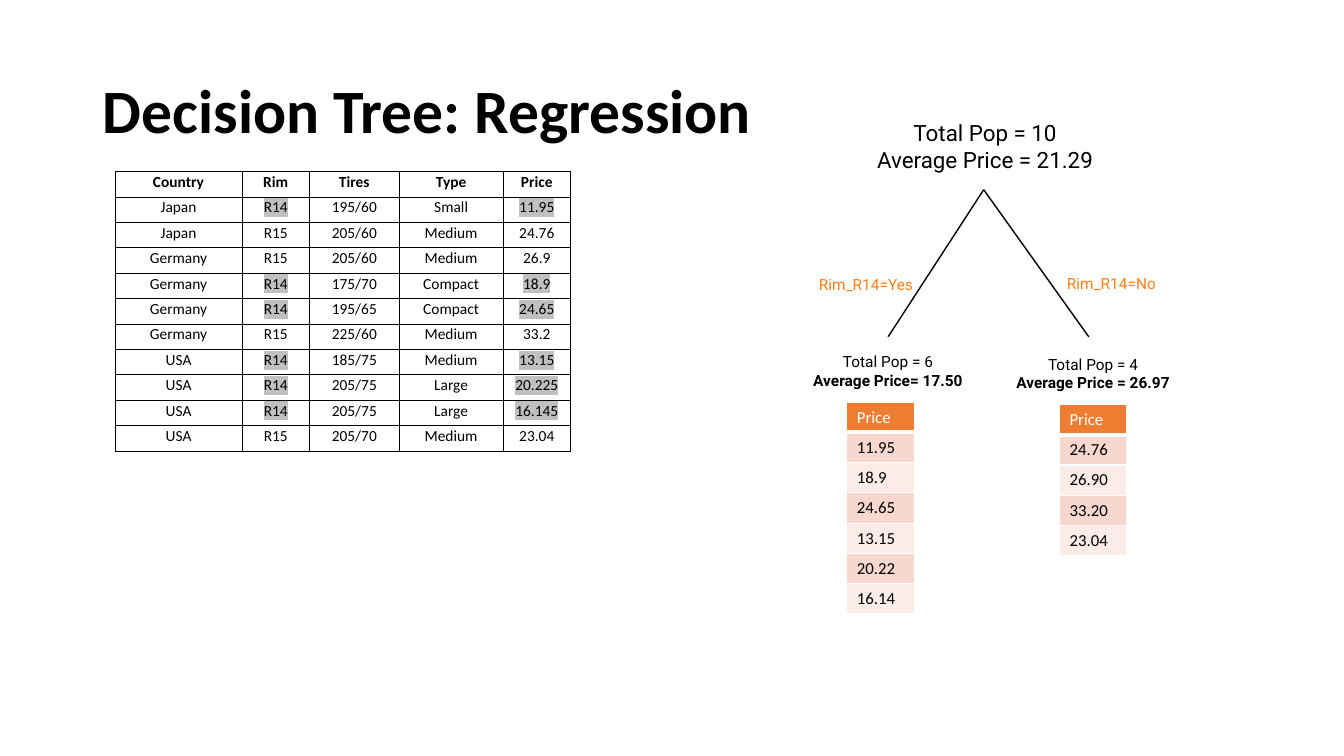
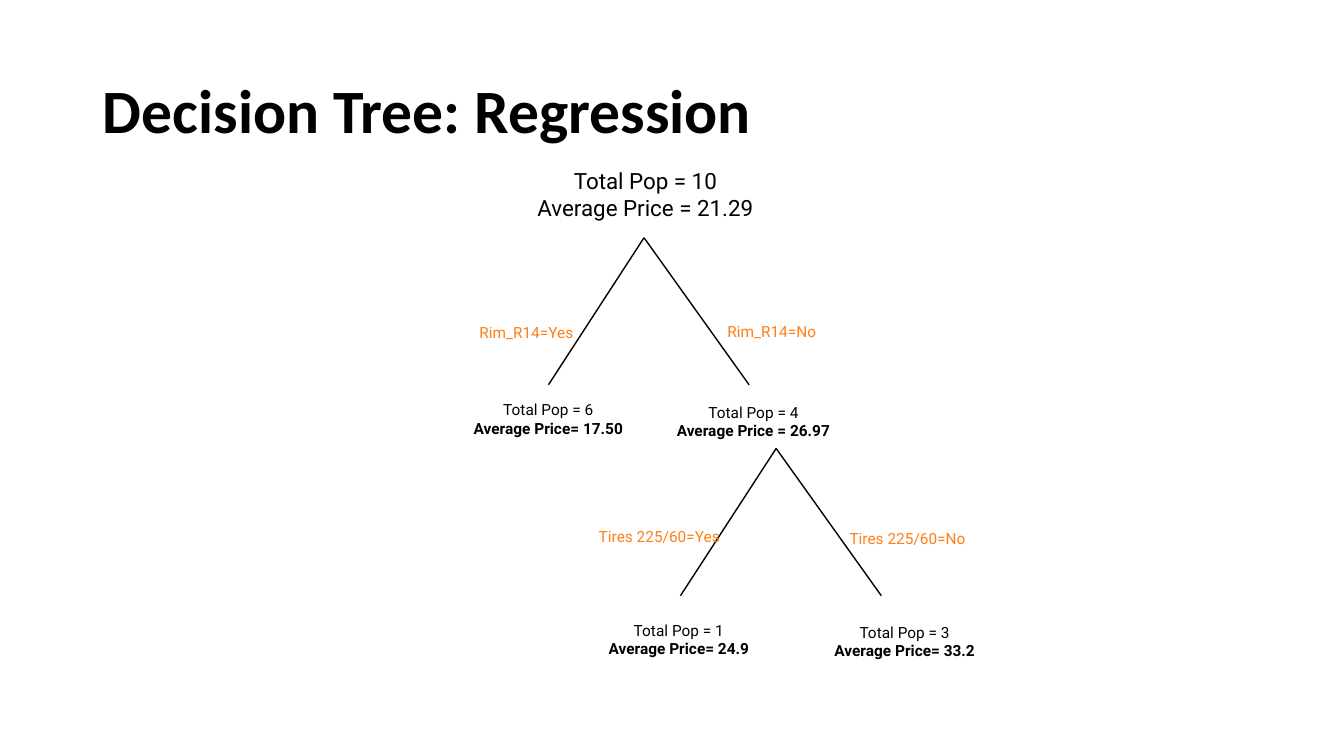
from lxml.etree import SubElement
from pptx import Presentation
from pptx.dml.color import RGBColor
from pptx.enum.shapes import MSO_CONNECTOR as CONN, MSO_SHAPE as SHAPE
from pptx.enum.text import MSO_ANCHOR as ANCHOR, MSO_AUTO_SIZE as FIT, PP_ALIGN as ALIGN
from pptx.oxml import parse_xml
from pptx.oxml.ns import nsdecls, qn
from pptx.util import Cm, Pt

COLORS = {
    "black": "000000", "white": "FFFFFF", "label": "FE7F18", "mark": "C0C0C0",
    "head": "ED7D31", "band_dark": "F8D7CE", "band_light": "FCECE8",
}
HEAD, BODY = "Calibri", "Roboto"
TITLE_BOX = (2.34, 1.02, 29.21, 3.68)

CARS = [
    ("Country", "Rim", "Tires", "Type", "Price"),
    ("Japan", "R14", "195/60", "Small", "11.95"),
    ("Japan", "R15", "205/60", "Medium", "24.76"),
    ("Germany", "R15", "205/60", "Medium", "26.9"),
    ("Germany", "R14", "175/70", "Compact", "18.9"),
    ("Germany", "R14", "195/65", "Compact", "24.65"),
    ("Germany", "R15", "225/60", "Medium", "33.2"),
    ("USA", "R14", "185/75", "Medium", "13.15"),
    ("USA", "R14", "205/75", "Large", "20.225"),
    ("USA", "R14", "205/75", "Large", "16.145"),
    ("USA", "R15", "205/70", "Medium", "23.04"),
]
CAR_COLS = (3.2, 1.7, 2.26, 2.62, 1.7)
PRICES_YES = ("11.95", "18.9", "24.65", "13.15", "20.22", "16.14")
PRICES_NO = ("24.76", "26.90", "33.20", "23.04")

# Boxes are left, top, width, height in cm, measured from the apex of a branch.
ROOT_BOX = (-3.75, -2.07, 7.57, 1.96)
LEGS = ((-2.41, 3.71), (2.65, 3.71))
RIM_LABELS = [("Rim_R14=Yes", (-4.4, 2.02, 3.1, 0.74)),
              ("Rim_R14=No", (1.85, 2, 3.1, 0.74))]
RIM_LEAVES = [("Total Pop = 6", "Average Price= 17.50", (-4.81, 3.71, 4.8, 2.16), 0.58),
              ("Total Pop = 4", "Average Price = 26.97", (0.4, 3.84, 4.72, 1.57), 0.13)]
TIRE_LABELS = [("Tires 225/60=Yes", (-4.72, 1.85, 3.86, 0.74)),
               ("Tires 225/60=No", (1.6, 1.9, 3.86, 0.74))]
TIRE_LEAVES = [("Total Pop = 1", "Average Price= 24.9", (-4.85, 3.96, 4.8, 2.16), 0.58),
               ("Total Pop = 3", "Average Price= 33.2", (0.84, 4.01, 4.8, 2.16), 0.58)]


def rgb(name):
    """Return the named colour."""
    return RGBColor.from_string(COLORS[name])


def cm(box):
    """Turn a box in cm into lengths."""
    return [Cm(v) for v in box]


def shift(box, apex):
    """Move a box from branch to slide coordinates."""
    return cm((apex[0] + box[0], apex[1] + box[1], *box[2:]))


def add_run(p, text, size, font=BODY, color="black", bold=False):
    """Add one formatted run to a paragraph."""
    r = p.add_run()
    r.text = text
    r.font.size, r.font.name, r.font.bold = Pt(size), font, bold
    r.font.color.rgb = rgb(color)
    return r


def highlight(r):
    """Mark a run with the highlight colour."""
    fill = r.font._element.find(qn("a:solidFill"))
    fill.addnext(parse_xml(f'<a:highlight {nsdecls("a")}>'
                           f'<a:srgbClr val="{COLORS["mark"]}"/></a:highlight>'))


def set_borders(cell, color, widths):
    """Draw the left, right, top and bottom borders, widths in points."""
    tc_pr = cell._tc.get_or_add_tcPr()
    for i, (side, width) in enumerate(zip("LRTB", widths)):
        ln = parse_xml(f'<a:ln{side} {nsdecls("a")} w="{Pt(width)}"><a:solidFill>'
                       f'<a:srgbClr val="{COLORS[color]}"/></a:solidFill></a:ln{side}>')
        tc_pr.insert(i, ln)


def add_slide(prs, title):
    """Add a slide with the shared title style."""
    s = prs.slides.add_slide(prs.slide_layouts[5])
    sp = s.shapes.title
    sp.left, sp.top, sp.width, sp.height = cm(TITLE_BOX)
    tf = sp.text_frame
    tf.vertical_anchor, tf.auto_size = ANCHOR.MIDDLE, FIT.NONE
    p = tf.paragraphs[0]
    p.alignment, p.line_spacing = ALIGN.LEFT, 0.9
    add_run(p, title, 44, HEAD, bold=True)
    return s


def add_table(s, left, top, cols, n_rows, row_height):
    """Add a plain table of given column widths and equal rows."""
    frame = s.shapes.add_table(n_rows, len(cols),
                               *cm((left, top, sum(cols), n_rows * row_height)))
    table = frame.table
    table.first_row = table.horz_banding = False
    for col, width in zip(table.columns, cols):
        col.width = Cm(width)
    for row in table.rows:
        row.height = Cm(row_height)
    return table


def add_car_table(s, left, top):
    """Add the car data, marking rim and price of every R14 row."""
    table = add_table(s, left, top, CAR_COLS, len(CARS), 0.62)
    for i, car in enumerate(CARS):
        for j, text in enumerate(car):
            cell = table.cell(i, j)
            cell.fill.background()
            cell.vertical_anchor = ANCHOR.BOTTOM
            cell.margin_left = cell.margin_right = cell.margin_top = Cm(0.03)
            cell.margin_bottom = Cm(0.13)
            set_borders(cell, "black", [0.5] * 4)
            p = cell.text_frame.paragraphs[0]
            p.alignment = ALIGN.CENTER
            r = add_run(p, text, 11, HEAD, bold=i == 0)
            if car[1] == "R14" and j in (1, 4):
                highlight(r)


def add_price_table(s, left, top, prices):
    """Add a banded one-column list of prices under a header."""
    table = add_table(s, left, top, (1.7,), len(prices) + 1, 0.76)
    for i, text in enumerate(("Price", *prices)):
        cell = table.cell(i, 0)
        band = "band_dark" if i % 2 else "band_light"
        cell.fill.solid()
        cell.fill.fore_color.rgb = rgb(band if i else "head")
        set_borders(cell, "white", (1, 1, 1, 1 if i else 3))
        add_run(cell.text_frame.paragraphs[0], text, 12, HEAD,
                "black" if i else "white")


def add_node(s, box, lines, size, bottom=0.13, bold_last=True):
    """Add a white box with centred lines, the last one bold if asked."""
    sp = s.shapes.add_shape(SHAPE.RECTANGLE, *box)
    sp.shadow.inherit = False
    sp.fill.solid()
    sp.fill.fore_color.rgb = rgb("white")
    sp.line.fill.background()
    tf = sp.text_frame
    tf.word_wrap, tf.vertical_anchor, tf.margin_bottom = True, ANCHOR.MIDDLE, Cm(bottom)
    for i, text in enumerate(lines):
        p = tf.add_paragraph() if i else tf.paragraphs[0]
        p.alignment = ALIGN.CENTER
        add_run(p, text, size, bold=bold_last and i == len(lines) - 1)


def add_label(s, box, text):
    """Add the condition written beside a leg."""
    tf = s.shapes.add_textbox(*box).text_frame
    tf.word_wrap, tf.auto_size = True, FIT.SHAPE_TO_FIT_TEXT
    add_run(tf.paragraphs[0], text, 11, color="label")


def add_branch(s, apex, labels, leaves):
    """Add two legs from the apex with their conditions and leaves."""
    for leg in LEGS:
        line = s.shapes.add_connector(CONN.STRAIGHT, *cm(apex), *shift(leg, apex))
        line.line.color.rgb, line.line.width = rgb("black"), Pt(1)
        SubElement(line._element.spPr, qn("a:effectLst"))
    for pop, price, box, bottom in leaves:
        add_node(s, shift(box, apex), (pop, price), 11, bottom)
    for text, box in labels:
        add_label(s, shift(box, apex), text)


def add_rim_tree(s, apex):
    """Add the root node and the split on rim size."""
    add_branch(s, apex, RIM_LABELS, RIM_LEAVES)
    add_node(s, shift(ROOT_BOX, apex), ("Total Pop = 10", "Average Price = 21.29"),
             16, bold_last=False)


prs = Presentation()
prs.slide_width, prs.slide_height = Cm(33.87), Cm(19.05)

s = add_slide(prs, "Decision Tree: Regression")
add_car_table(s, 2.9, 4.32)
add_rim_tree(s, (24.79, 4.78))
add_price_table(s, 21.34, 10.13, PRICES_YES)
add_price_table(s, 26.7, 10.19, PRICES_NO)

s = add_slide(prs, "Decision Tree: Regression")
add_rim_tree(s, (16.23, 5.99))
add_branch(s, (19.56, 11.3), TIRE_LABELS, TIRE_LEAVES)

prs.save("out.pptx")
